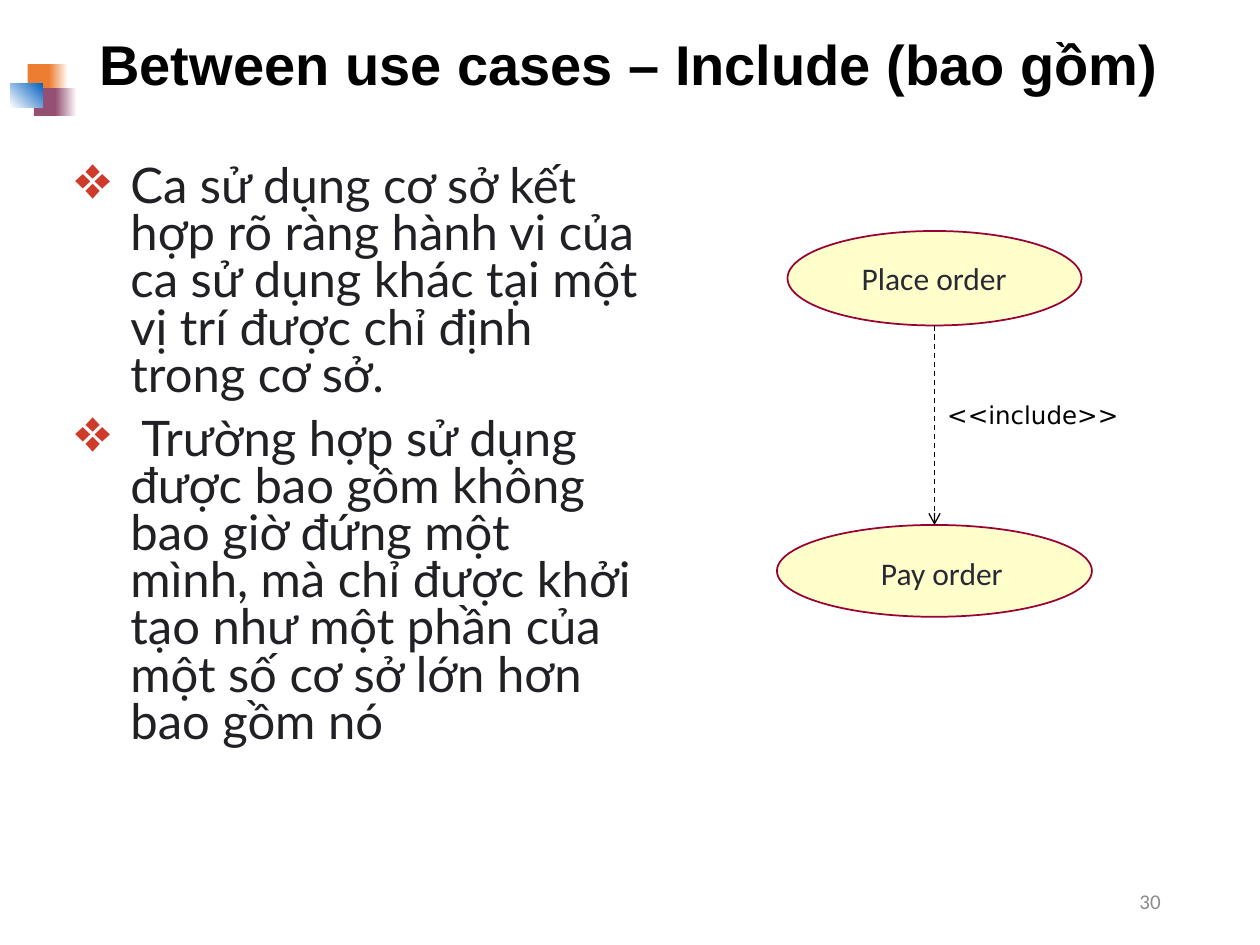
from dataclasses import dataclass
from typing import Optional

from pptx import Presentation
from pptx.dml.color import RGBColor as Rgb
from pptx.enum.dml import MSO_LINE
from pptx.enum.shapes import MSO_CONNECTOR as Connector, MSO_SHAPE as Shape
from pptx.enum.text import MSO_ANCHOR as Anchor, PP_ALIGN as Align
from pptx.oxml.ns import qn
from pptx.util import Pt
from lxml.etree import SubElement


# Colours, fonts and type sizes
@dataclass(frozen=True)
class Theme:
    black: str = "000000"
    white: str = "FFFFFF"
    orange: str = "ED7D31"
    plum: str = "954F72"
    blue: str = "0563C1"
    bullet: str = "CE3B2A"
    body: str = "202124"
    case_fill: str = "FFFFCC"
    case_line: str = "990033"
    case_text: str = "292934"
    grey: str = "8C8C8C"
    title_size: float = 32
    body_size: float = 28
    case_size: float = 18
    label_size: float = 14
    number_size: float = 12


THEME = Theme()


@dataclass(frozen=True)
class Frame:
    left: float
    top: float
    width: float
    height: float

    def lengths(self) -> tuple:
        return Pt(self.left), Pt(self.top), Pt(self.width), Pt(self.height)


@dataclass(frozen=True)
class Tile:
    frame: Frame
    start: str
    end: Optional[str] = None
    angle: float = 0


@dataclass(frozen=True)
class Label:
    frame: Frame
    lines: tuple
    font: str
    size: float
    color: str
    bold: bool = False
    align: Align = Align.LEFT
    anchor: Anchor = Anchor.TOP
    wrap: bool = True
    line_spacing: Optional[float] = None
    bulleted: bool = False


@dataclass(frozen=True)
class UseCase:
    oval: Frame
    label: Label


def draw_tile(page, tile: Tile) -> None:
    box = page.shapes.add_shape(Shape.RECTANGLE, *tile.frame.lengths())
    box.shadow.inherit = False
    box.line.fill.background()
    if tile.end is None:
        box.fill.solid()
        box.fill.fore_color.rgb = Rgb.from_string(tile.start)
        return
    box.fill.gradient()
    box.fill.gradient_angle = tile.angle
    for stop, color in zip(box.fill.gradient_stops, (tile.start, tile.end)):
        stop.color.rgb = Rgb.from_string(color)


def add_bullet(para) -> None:
    para.space_before = Pt(10)
    properties = para._p.get_or_add_pPr()
    properties.set("marL", str(Pt(31.5)))
    properties.set("indent", str(-Pt(31.5)))
    color = SubElement(properties, qn("a:buClr"))
    SubElement(color, qn("a:srgbClr"), val=THEME.bullet)
    SubElement(properties, qn("a:buSzPct"), val="125000")
    SubElement(properties, qn("a:buChar"), char="❖")


def draw_label(page, label: Label) -> None:
    box = page.shapes.add_textbox(*label.frame.lengths())
    text_frame = box.text_frame
    text_frame.text = "\n".join(label.lines)
    text_frame.word_wrap = label.wrap
    text_frame.vertical_anchor = label.anchor
    for para in text_frame.paragraphs:
        para.alignment = label.align
        if label.line_spacing:
            para.line_spacing = label.line_spacing
        if label.bulleted:
            add_bullet(para)
        for span in para.runs:
            span.font.name = label.font
            span.font.size = Pt(label.size)
            span.font.bold = label.bold
            span.font.color.rgb = Rgb.from_string(label.color)


def draw_use_case(page, case: UseCase) -> None:
    oval = page.shapes.add_shape(Shape.OVAL, *case.oval.lengths())
    oval.shadow.inherit = False
    oval.fill.solid()
    oval.fill.fore_color.rgb = Rgb.from_string(THEME.case_fill)
    oval.line.color.rgb = Rgb.from_string(THEME.case_line)
    oval.line.width = Pt(1)
    draw_label(page, case.label)


def draw_dependency(page, source: Frame, target: Frame) -> None:
    center = Pt(source.left + source.width / 2)
    arrow = page.shapes.add_connector(
        Connector.STRAIGHT, center, Pt(source.top + source.height), center, Pt(target.top))
    arrow.line.color.rgb = Rgb.from_string(THEME.black)
    arrow.line.width = Pt(0.75)
    arrow.line.dash_style = MSO_LINE.DASH
    SubElement(arrow.line._get_or_add_ln(), qn("a:tailEnd"), type="arrow")
    SubElement(arrow._element.spPr, qn("a:effectLst"))


# Overlapping tiles beside the title
TILES = (
    Tile(Frame(15.8, 36.6, 14.4, 15.8), THEME.orange),
    Tile(Frame(28.1, 36.6, 10.8, 15.8), THEME.orange, THEME.white),
    Tile(Frame(19.4, 50.4, 13.7, 15.8), THEME.plum),
    Tile(Frame(31.7, 50.4, 12.2, 15.8), THEME.plum, THEME.white),
    Tile(Frame(5.8, 47.5, 18.7, 13.7), THEME.white, THEME.blue, 45),
)

# Title, explanation, arrow label and page number
LABELS = (
    Label(Frame(49.7, 9.4, 620.6, 58.3), ("Between use cases – Include (bao gồm)",),
          "Arial", THEME.title_size, THEME.black, bold=True,
          anchor=Anchor.MIDDLE, line_spacing=0.9),
    Label(Frame(36, 91.4, 336.2, 356.4),
          ("Ca sử dụng cơ sở kết hợp rõ ràng hành vi của ca sử dụng khác "
           "tại một vị trí được chỉ định trong cơ sở.",
           " Trường hợp sử dụng được bao gồm không bao giờ đứng một mình, mà chỉ "
           "được khởi tạo như một phần của một số cơ sở lớn hơn bao gồm nó"),
          "Lato", THEME.body_size, THEME.body, line_spacing=0.8, bulleted=True),
    Label(Frame(534.2, 221.8, 120, 30.2), ("<<include>>",),
          "DejaVu Sans", THEME.label_size, THEME.black, anchor=Anchor.MIDDLE, wrap=False),
    Label(Frame(508.3, 500.4, 162, 28.8), ("30",),
          "Calibri", THEME.number_size, THEME.grey, align=Align.RIGHT, anchor=Anchor.MIDDLE),
)

PLACE_ORDER = UseCase(
    Frame(450, 132, 168, 54),
    Label(Frame(485.3, 144.7, 118, 31.7), ("Place order",),
          "Calibri", THEME.case_size, THEME.case_text, wrap=False))
PAY_ORDER = UseCase(
    Frame(444, 300, 180, 52.5),
    Label(Frame(464.4, 313.2, 147.6, 31.7), ("Pay order",),
          "Calibri", THEME.case_size, THEME.case_text, align=Align.CENTER))


def main() -> None:
    deck = Presentation()
    deck.slide_width, deck.slide_height = Pt(720), Pt(540)
    page = deck.slides.add_slide(deck.slide_layouts[6])

    for tile in TILES:
        draw_tile(page, tile)
    for case in (PLACE_ORDER, PAY_ORDER):
        draw_use_case(page, case)
    draw_dependency(page, PLACE_ORDER.oval, PAY_ORDER.oval)
    for label in LABELS:
        draw_label(page, label)

    deck.save("out.pptx")


if __name__ == "__main__":
    main()
